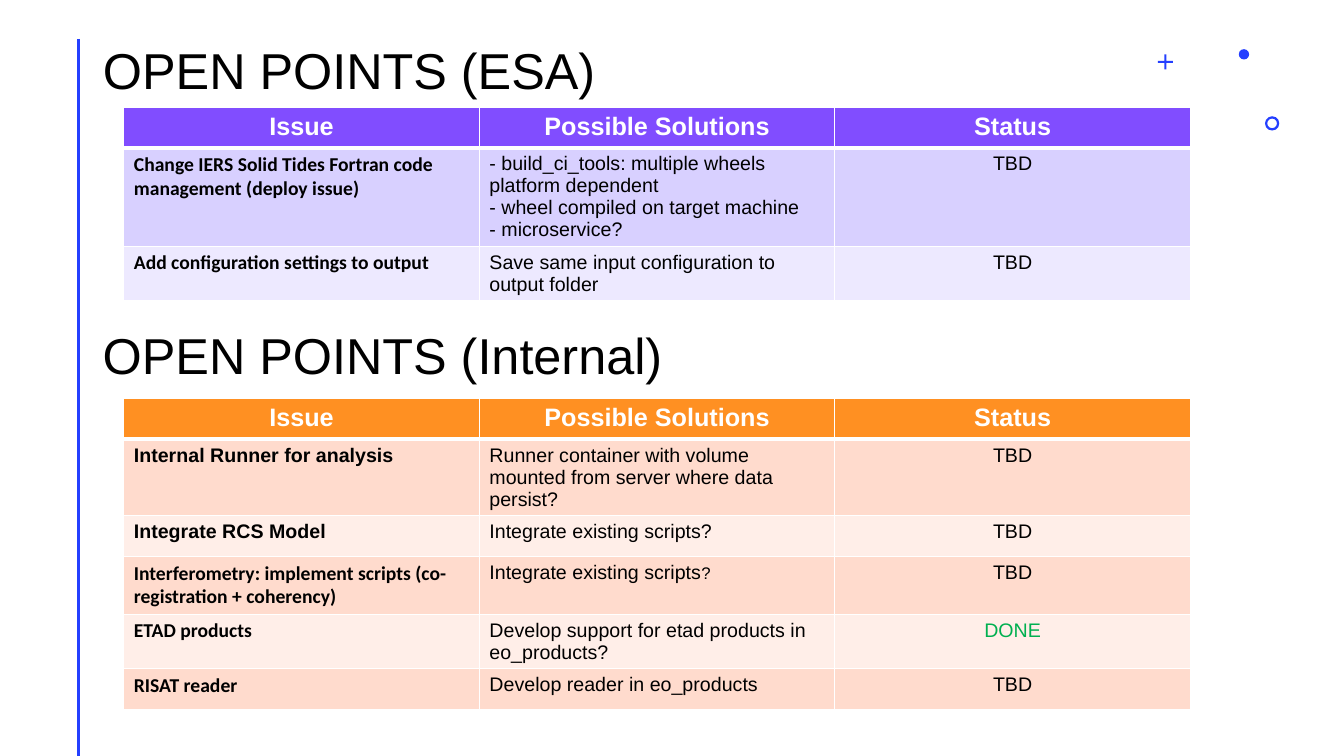
from lxml import etree
from pptx import Presentation
from pptx.dml.color import RGBColor
from pptx.enum.shapes import MSO_CONNECTOR, MSO_SHAPE
from pptx.enum.text import MSO_ANCHOR, MSO_AUTO_SIZE, PP_ALIGN
from pptx.oxml.ns import qn
from pptx.util import Cm, Pt

STRAIGHT = MSO_CONNECTOR.STRAIGHT
CROSS, DONUT, OVAL = MSO_SHAPE.CROSS, MSO_SHAPE.DONUT, MSO_SHAPE.OVAL
MIDDLE = MSO_ANCHOR.MIDDLE
NO_AUTOFIT = MSO_AUTO_SIZE.NONE
LEFT, CENTER = PP_ALIGN.LEFT, PP_ALIGN.CENTER

TITLE_ONLY = 5
BLUE, BLACK, WHITE, GREEN = "243FFF", "000000", "FFFFFF", "00B050"
HEADERS = ["Issue", "Possible Solutions", "Status"]
COLUMN_WIDTH, ROW_HEIGHT = 8.96, 1.03

ESA_ROWS = [
    ("Change IERS Solid Tides Fortran code management (deploy issue)", "Calibri",
     [[("- build_ci_tools: multiple wheels platform dependent", 14)],
      [("- wheel compiled on target machine", 14)],
      [("- microservice?", 14)]], "TBD"),
    ("Add configuration settings to output", "Calibri",
     [[("Save same input configuration to output folder", 14)]], "TBD"),
]
INTERNAL_ROWS = [
    ("Internal Runner for analysis", "Arial",
     [[("Runner container with volume mounted from server where data persist?", 14)]], "TBD"),
    ("Integrate RCS Model", "Arial",
     [[("Integrate existing scripts?", 14)]], "TBD"),
    ("Interferometry: implement scripts (co-registration + coherency)", "Calibri",
     [[("Integrate existing scripts", 14), ("?", 12)]], "TBD"),
    ("ETAD products", "Calibri",
     [[("Develop support for etad products in eo_products?", 14)]], "DONE"),
    ("RISAT reader", "Calibri",
     [[("Develop reader in eo_products", 14)]], "TBD"),
]


def color(value):
    return RGBColor.from_string(value)


def add_span(para, text, size, tint=BLACK, font="Arial", bold=False):
    span = para.add_run()
    span.text = text
    span.font.name = font
    span.font.size = Pt(size)
    span.font.bold = bold
    span.font.color.rgb = color(tint)


def format_heading(box, text, top):
    box.left, box.top, box.width, box.height = Cm(2.34), Cm(top), Cm(29.21), Cm(1.68)
    frame = box.text_frame
    frame.word_wrap = True
    frame.auto_size = NO_AUTOFIT
    frame.vertical_anchor = MIDDLE
    para = frame.paragraphs[0]
    para.alignment = LEFT
    para.line_spacing = 0.9
    add_span(para, text, 36)


def fill_cell(cell, fill, lines, align=LEFT, **style):
    cell.fill.solid()
    cell.fill.fore_color.rgb = color(fill)
    frame = cell.text_frame
    for index, spans in enumerate(lines):
        para = frame.add_paragraph() if index else frame.paragraphs[0]
        para.alignment = align
        for text, size in spans:
            add_span(para, text, size, **style)


def underline_cell(cell, points):
    properties = cell._tc.get_or_add_tcPr()
    border = etree.Element(qn("a:lnB"), w=str(Pt(points)))
    fill = etree.SubElement(border, qn("a:solidFill"))
    etree.SubElement(fill, qn("a:srgbClr"), val=WHITE)
    properties.insert(0, border)


def add_issue_table(page, top, rows, header_fill, band_fills):
    count = len(rows) + 1
    table = page.shapes.add_table(
        count, len(HEADERS), Cm(3.12), Cm(top),
        Cm(COLUMN_WIDTH * len(HEADERS)), Cm(ROW_HEIGHT * count)).table
    for column in table.columns:
        column.width = Cm(COLUMN_WIDTH)
    for cell, header in zip(table.rows[0].cells, HEADERS):
        fill_cell(cell, header_fill, [[(header, 18)]], CENTER, tint=WHITE, bold=True)
        underline_cell(cell, 3)
    for index, (issue, font, solutions, status) in enumerate(rows):
        fill = band_fills[index % 2]
        issue_cell, solution_cell, status_cell = table.rows[index + 1].cells
        fill_cell(issue_cell, fill, [[(issue, 14)]], font=font, bold=True)
        fill_cell(solution_cell, fill, solutions)
        fill_cell(status_cell, fill, [[(status, 14)]], CENTER,
                  tint=GREEN if status == "DONE" else BLACK)


def add_ornament(page, kind, left, top, size, adjustment=None):
    shape = page.shapes.add_shape(kind, Cm(left), Cm(top), Cm(size), Cm(size))
    shape.shadow.inherit = False
    shape.fill.solid()
    shape.fill.fore_color.rgb = color(BLUE)
    shape.line.fill.background()
    if adjustment is not None:
        shape.adjustments[0] = adjustment


def add_margin_line(page):
    line = page.shapes.add_connector(STRAIGHT, Cm(1.98), Cm(0.98), Cm(1.98), Cm(19.05))
    line.line.color.rgb = color(BLUE)
    line.line.width = Pt(2)
    etree.SubElement(line._element.spPr, qn("a:effectLst"))


def main():
    deck = Presentation()
    deck.slide_width, deck.slide_height = Cm(33.87), Cm(19.05)
    page = deck.slides.add_slide(deck.slide_layouts[TITLE_ONLY])

    add_margin_line(page)
    add_ornament(page, CROSS, 29.18, 1.37, 0.38, 0.43)
    add_ornament(page, DONUT, 31.88, 2.93, 0.36, 0.16)
    add_ornament(page, OVAL, 31.22, 1.24, 0.26)

    format_heading(page.shapes.title, "OPEN POINTS (ESA)", 1.01)
    internal_box = page.shapes.add_textbox(Cm(0), Cm(0), Cm(1), Cm(1))
    format_heading(internal_box, "OPEN POINTS (Internal)", 8.18)

    add_issue_table(page, 2.7, ESA_ROWS, "814DFF", ("D8D0FF", "EDE9FF"))
    add_issue_table(page, 10.04, INTERNAL_ROWS, "FF9022", ("FFDBCD", "FFEEE8"))
    deck.save("out.pptx")


if __name__ == "__main__":
    main()
